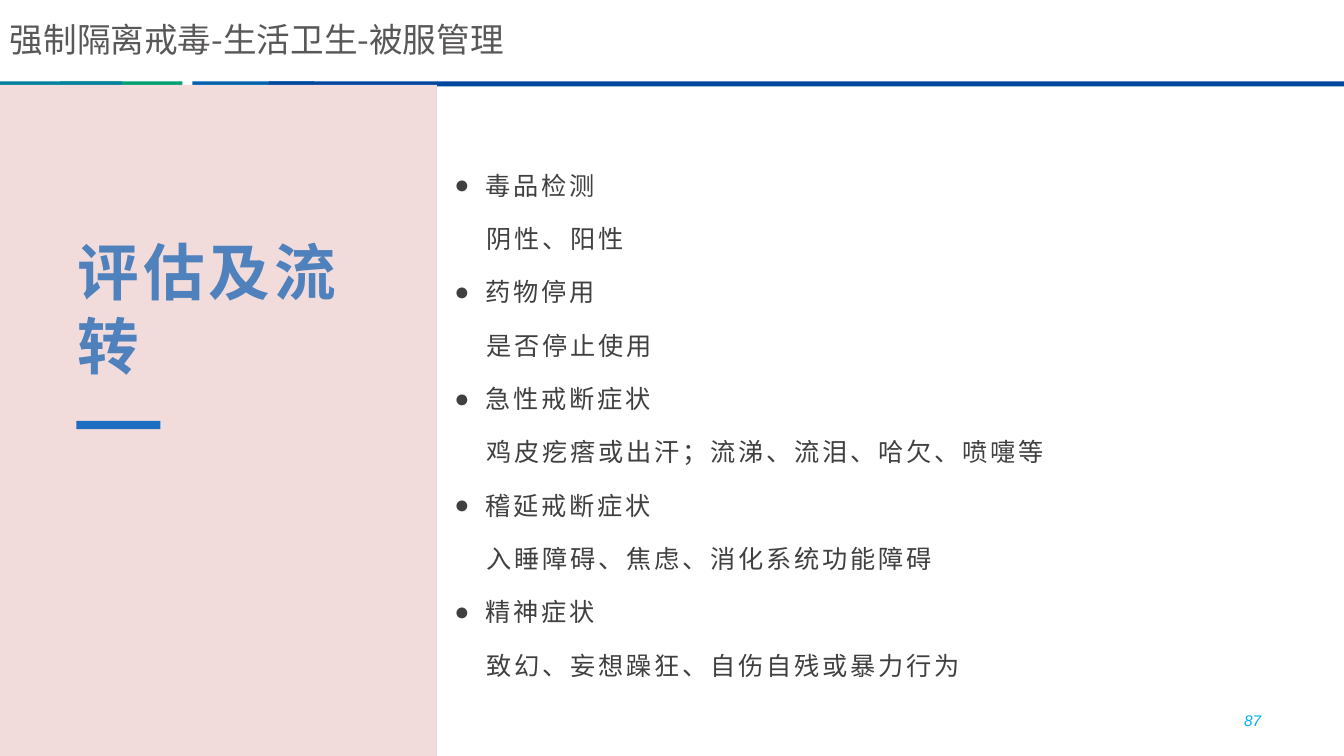
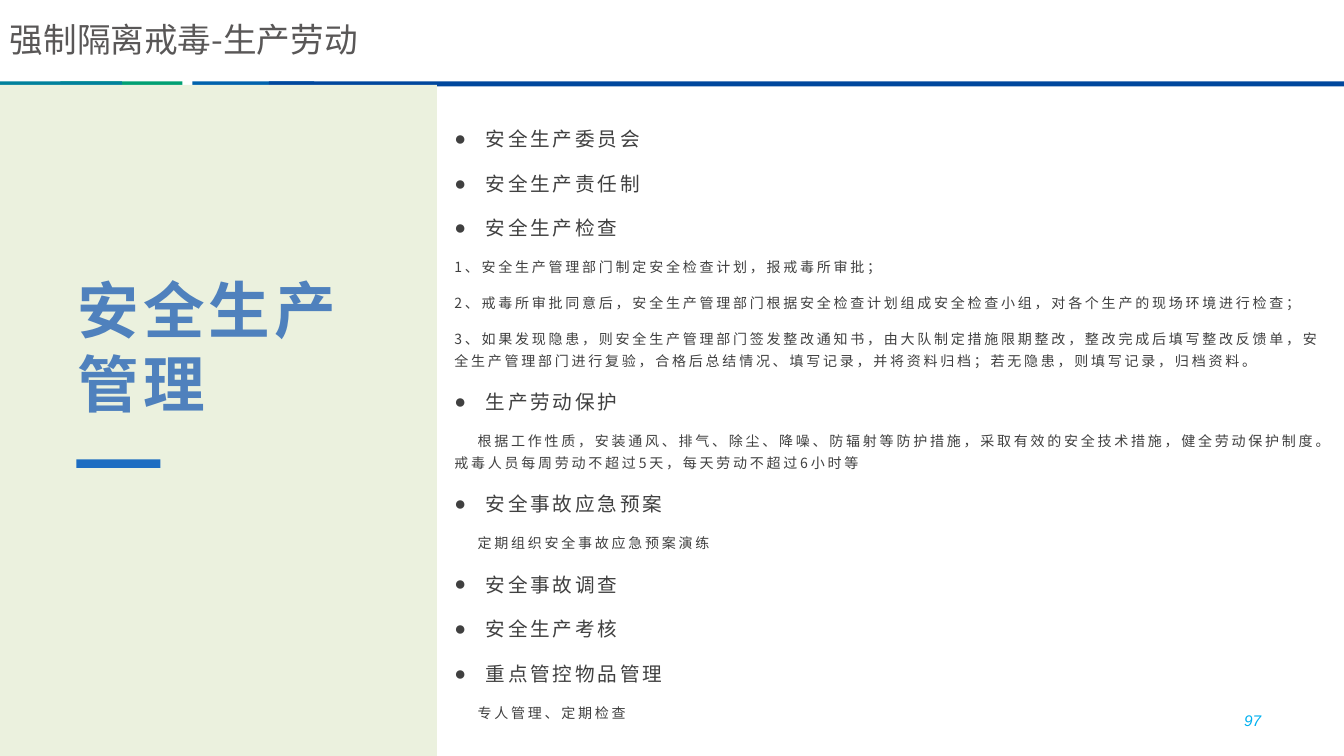
from lxml.etree import SubElement
from pptx import Presentation
from pptx.dml.color import RGBColor
from pptx.enum.lang import MSO_LANGUAGE_ID
from pptx.enum.shapes import MSO_SHAPE
from pptx.enum.text import MSO_ANCHOR, MSO_AUTO_SIZE, PP_ALIGN
from pptx.oxml.ns import qn
from pptx.util import Inches, Pt

COLORS = {
    "teal": "00819C",
    "green": "00A073",
    "blue": "0062AD",
    "navy": "00479D",
    "accent": "1D6DC2",
    "topic": "4F81BD",
    "body": "404040",
    "header": "595757",
    "number": "00B0F0",
    "rose": "F2DCDB",
    "olive": "EBF1DE",
}
CJK = "Noto Sans CJK SC"
BULLET_INDENT = 0.31
LINE_HEIGHT = 1.2


def write(paragraph, text, size, color, font=CJK, bold=False, italic=False,
          tracking=0, align=PP_ALIGN.LEFT, leading=None, before=0,
          indent=0, bullet=False):
    paragraph.alignment = align
    paragraph.space_before = Pt(before)
    if leading:
        paragraph.line_spacing = Pt(round(size * LINE_HEIGHT * leading, 1))
    properties = paragraph._p.get_or_add_pPr()
    margin = BULLET_INDENT if bullet else 0
    properties.set("marL", str(Inches(margin)))
    properties.set("indent", str(Inches(-margin if bullet else indent)))
    if bullet:
        SubElement(properties, qn("a:buFont")).set("typeface", "Arial")
        SubElement(properties, qn("a:buChar")).set("char", "●")
    else:
        SubElement(properties, qn("a:buNone"))
    run = paragraph.add_run()
    run.text = text
    run.font.size = Pt(size)
    run.font.bold = bold
    run.font.italic = italic
    run.font.language_id = MSO_LANGUAGE_ID.SIMPLIFIED_CHINESE
    run.font.color.rgb = RGBColor.from_string(COLORS[color])
    run.font.name = font
    run_properties = run._r.get_or_add_rPr()
    run_properties.set("spc", str(tracking * 100))
    SubElement(run_properties, qn("a:ea")).set("typeface", font)


class Deck:
    CELL = Inches(1) / 12
    STRIPS = (
        ("green", 7.2, 14.5),
        ("blue", 22.9, 14.5),
        ("navy", 32, 128),
        ("teal", 0, 14.5),
    )
    PANEL_TOP = 10.1
    PANEL_COLUMNS = 52
    TOPIC_ROWS = 30

    def __init__(self):
        self.presentation = Presentation()
        self.presentation.slide_width = Inches(13.33)
        self.presentation.slide_height = Inches(7.5)
        self.slide = None

    def cells(self, *lengths):
        return [round(length * self.CELL) for length in lengths]

    def new_slide(self, panel):
        self.slide = self.presentation.slides.add_slide(
            self.presentation.slide_layouts[5])
        for color, column, columns in self.STRIPS:
            self.block(color, column, 9.7, columns, 0.6)
        self.block(panel, 0, self.PANEL_TOP, self.PANEL_COLUMNS,
                   90 - self.PANEL_TOP)

    def block(self, color, column, row, columns, rows):
        block = self.slide.shapes.add_shape(
            MSO_SHAPE.RECTANGLE, *self.cells(column, row, columns, rows))
        block.shadow.inherit = False
        block.fill.solid()
        block.fill.fore_color.rgb = RGBColor.from_string(COLORS[color])
        block.line.fill.background()

    def prepare(self, frame, anchor):
        frame.word_wrap = True
        frame.auto_size = MSO_AUTO_SIZE.NONE
        frame.vertical_anchor = anchor
        return frame

    def text_box(self, column, row, columns, rows):
        box = self.slide.shapes.add_textbox(
            *self.cells(column, row, columns, rows))
        return self.prepare(box.text_frame, MSO_ANCHOR.MIDDLE)

    def topic(self, text, row):
        title = self.slide.shapes.title
        title.left, title.top, title.width, title.height = self.cells(
            8, row, 36, self.TOPIC_ROWS)
        self.slide.shapes._spTree.append(title._element)
        frame = self.prepare(title.text_frame, MSO_ANCHOR.BOTTOM)
        write(frame.paragraphs[0], text, 44, "topic", bold=True, tracking=3,
              leading=1)
        self.block("accent", 9.1, row + self.TOPIC_ROWS + 4.1, 10, 1)

    def outline(self, entries, heading_size, detail_size, detail_indent):
        frame = self.text_box(52.9, self.PANEL_TOP, 107, 90 - self.PANEL_TOP)
        for position, (kind, text) in enumerate(entries):
            paragraph = frame.add_paragraph() if position else frame.paragraphs[0]
            heading = kind == "heading"
            write(paragraph, text, heading_size if heading else detail_size,
                  "body", tracking=2, leading=1.3,
                  before=10 if position else 0, bullet=heading,
                  indent=detail_indent if kind == "detail" else 0)

    def header(self, text):
        frame = self.text_box(0, 1.4, 86, 6.5)
        write(frame.paragraphs[0], text, 24, "header")

    def page_number(self, number):
        frame = self.text_box(114, 83.4, 37.3, 4.8)
        write(frame.paragraphs[0], str(number), 11, "number", font="Arial",
              italic=True, align=PP_ALIGN.RIGHT)


ASSESSMENT = [
    ("heading", "毒品检测"),
    ("detail", "阴性、阳性"),
    ("heading", "药物停用"),
    ("detail", "是否停止使用"),
    ("heading", "急性戒断症状"),
    ("detail", "鸡皮疙瘩或出汗；流涕、流泪、哈欠、喷嚏等"),
    ("heading", "稽延戒断症状"),
    ("detail", "入睡障碍、焦虑、消化系统功能障碍"),
    ("heading", "精神症状"),
    ("detail", "致幻、妄想躁狂、自伤自残或暴力行为"),
]
SAFETY = [
    ("heading", "安全生产委员会"),
    ("heading", "安全生产责任制"),
    ("heading", "安全生产检查"),
    ("step", "1、安全生产管理部门制定安全检查计划，报戒毒所审批；"),
    ("step", "2、戒毒所审批同意后，安全生产管理部门根据安全检查计划组成安全检查小组，"
             "对各个生产的现场环境进行检查；"),
    ("step", "3、如果发现隐患，则安全生产管理部门签发整改通知书，由大队制定措施限期整改，"
             "整改完成后填写整改反馈单，安全生产管理部门进行复验，合格后总结情况、填写记录，"
             "并将资料归档；若无隐患，则填写记录，归档资料。"),
    ("heading", "生产劳动保护"),
    ("detail", "根据工作性质，安装通风、排气、除尘、降噪、防辐射等防护措施，"
               "采取有效的安全技术措施，健全劳动保护制度。"
               "戒毒人员每周劳动不超过5天，每天劳动不超过6小时等"),
    ("heading", "安全事故应急预案"),
    ("detail", "定期组织安全事故应急预案演练"),
    ("heading", "安全事故调查"),
    ("heading", "安全生产考核"),
    ("heading", "重点管控物品管理"),
    ("detail", "专人管理、定期检查"),
]


def main():
    deck = Deck()

    deck.new_slide("rose")
    deck.topic("评估及流转", row=16)
    deck.outline(ASSESSMENT, heading_size=18, detail_size=18, detail_indent=0.32)
    deck.page_number(87)
    deck.header("强制隔离戒毒-生活卫生-被服管理")

    deck.new_slide("olive")
    deck.topic("安全生产管理", row=20.6)
    deck.outline(SAFETY, heading_size=14, detail_size=10, detail_indent=0.23)
    deck.page_number(97)
    deck.header("强制隔离戒毒-生产劳动")

    deck.presentation.save("out.pptx")


if __name__ == "__main__":
    main()
